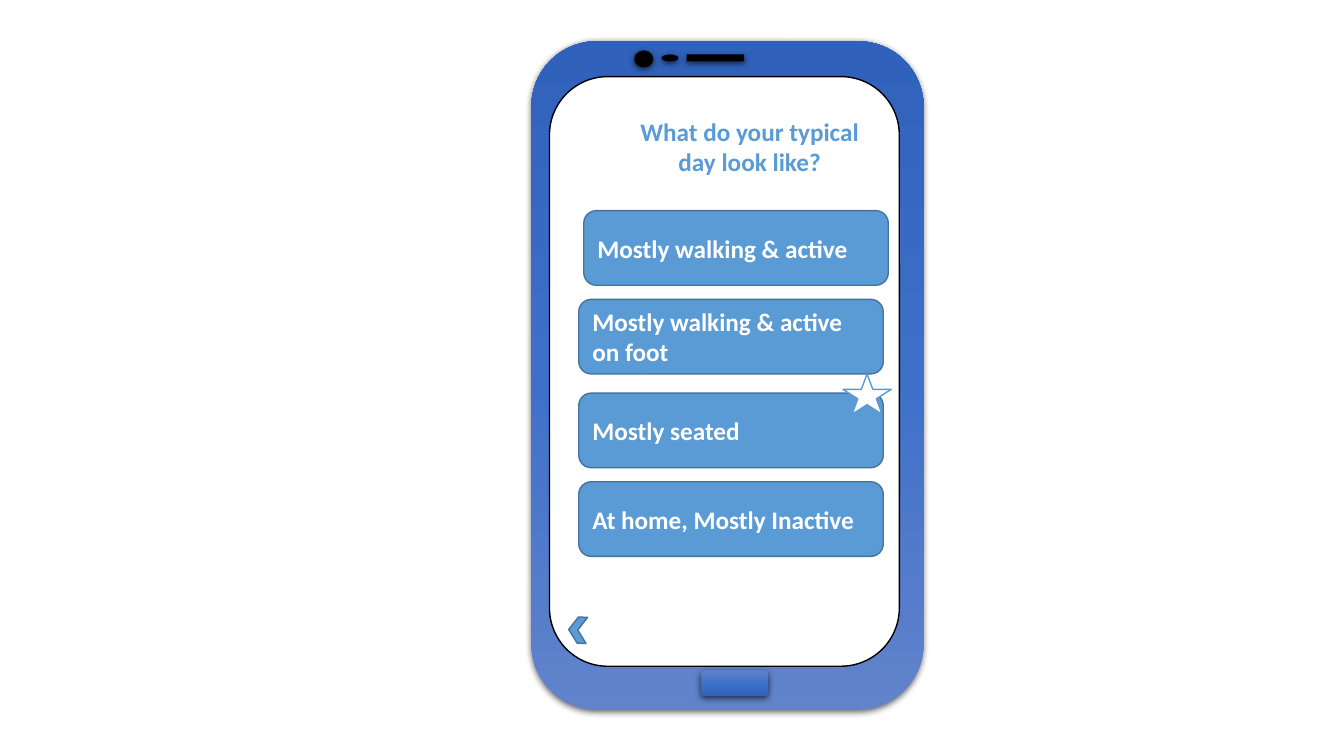
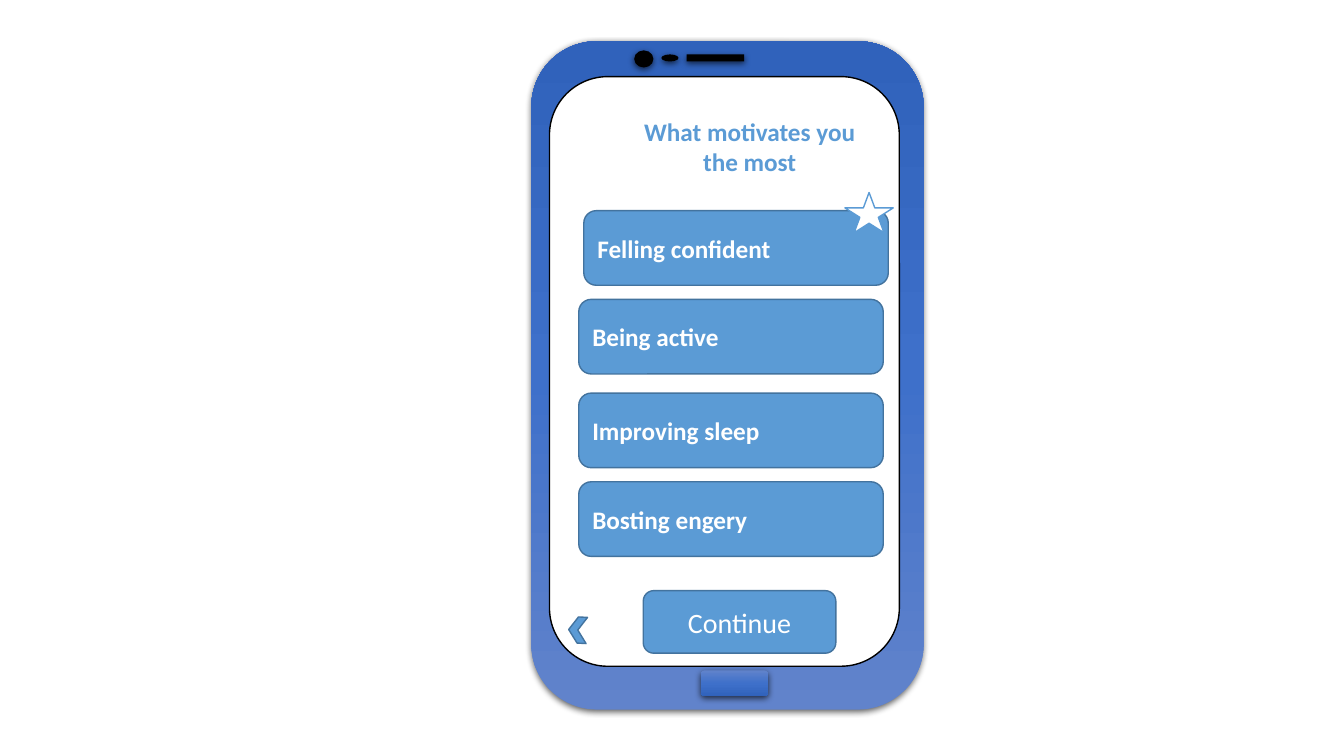
"""Build two phone-screen quiz slides with a shared handset and answer buttons."""
from copy import deepcopy
from dataclasses import dataclass

from lxml.etree import SubElement
from pptx import Presentation
from pptx.dml.color import RGBColor
from pptx.enum.shapes import MSO_SHAPE
from pptx.enum.text import MSO_ANCHOR, PP_ALIGN
from pptx.oxml.ns import qn
from pptx.util import Inches, Pt


@dataclass(frozen=True)
class Theme:
    font: str = "Calibri"
    body_size: int = 18
    action_size: int = 20
    white: str = "FFFFFF"
    black: str = "000000"
    accent: str = "5B9BD5"
    accent_edge: str = "43739E"
    case_gradient: tuple = ("6183CB", "3E70CA", "3062BB")


ANSWER_TOPS = (2.09, 2.97, 3.9, 4.78)
ANSWER_LEFTS = (5.79, 5.74, 5.74, 5.74)


class PhoneDeck:
    def __init__(self, theme):
        self.theme = theme
        self.deck = Presentation()
        self.deck.slide_width = Inches(13.33)
        self.deck.slide_height = Inches(7.5)
        self.page = None

    def shape(self, kind, place, fill=None, line=None):
        box = self.page.shapes.add_shape(kind, *map(Inches, place))
        box.shadow.inherit = False
        if fill:
            box.fill.solid()
            box.fill.fore_color.rgb = RGBColor.from_string(fill)
        if line:
            box.line.color.rgb = RGBColor.from_string(line)
            box.line.width = Pt(1)
        else:
            box.line.fill.background()
        return box

    def shadow(self, box):
        effects = box._element.spPr.find(qn("a:effectLst"))
        outer = SubElement(effects, qn("a:outerShdw"), blurRad=str(Pt(4.5)), dist=str(Pt(1.5)),
                           dir="5400000", algn="ctr", rotWithShape="0")
        color = SubElement(outer, qn("a:srgbClr"), val=self.theme.black)
        SubElement(color, qn("a:alpha"), val="63000")

    def gradient(self, box, angle):
        box.fill.gradient()
        box.fill.gradient_angle = angle
        stops = box._element.spPr.find(qn("a:gradFill")).find(qn("a:gsLst"))
        stops.insert(1, deepcopy(stops[0]))
        for index, (stop, color) in enumerate(zip(box.fill.gradient_stops, self.theme.case_gradient)):
            stop.color.rgb = RGBColor.from_string(color)
            stop.position = index / 2

    def text(self, box, words, color, size, align=PP_ALIGN.LEFT, bold=True):
        frame = box.text_frame
        frame.word_wrap = True
        frame.vertical_anchor = MSO_ANCHOR.MIDDLE
        para = frame.paragraphs[0]
        para.alignment = align
        span = para.add_run()
        span.text = words
        span.font.name = self.theme.font
        span.font.size = Pt(size)
        span.font.bold = bold
        span.font.color.rgb = RGBColor.from_string(color)

    def case_part(self, place, angle):
        part = self.shape(MSO_SHAPE.ROUNDED_RECTANGLE, place)
        self.gradient(part, angle)
        self.shadow(part)

    def screen(self, question):
        box = self.shape(MSO_SHAPE.ROUNDED_RECTANGLE, (5.45, 0.76, 3.47, 5.85),
                         self.theme.white, self.theme.black)
        self.text(box, question, self.theme.accent, self.theme.body_size, PP_ALIGN.CENTER)
        frame = box.text_frame
        frame.vertical_anchor = MSO_ANCHOR.TOP
        frame.margin_left = Inches(0.6)
        frame.margin_top = Inches(0.22)

    def phone(self, question):
        self.page = self.deck.slides.add_slide(self.deck.slide_layouts[6])
        self.case_part((5.27, 0.41, 3.89, 6.63), 90)
        self.screen(question)
        self.case_part((6.95, 6.65, 0.67, 0.26), 270)
        for kind, place in ((MSO_SHAPE.RECTANGLE, (6.81, 0.54, 0.57, 0.07)),
                            (MSO_SHAPE.OVAL, (6.56, 0.54, 0.17, 0.07)),
                            (MSO_SHAPE.OVAL, (6.29, 0.5, 0.19, 0.17))):
            self.shadow(self.shape(kind, place, self.theme.black))
        arrow = self.shape(MSO_SHAPE.CHEVRON, (5.64, 6.12, 0.18, 0.26),
                           self.theme.accent, self.theme.accent_edge)
        arrow.rotation = 183.2

    def button(self, place, words, **style):
        box = self.shape(MSO_SHAPE.ROUNDED_RECTANGLE, place,
                         self.theme.accent, self.theme.accent_edge)
        self.text(box, words, self.theme.white, **style)

    def answers(self, choices):
        for left, top, words in zip(ANSWER_LEFTS, ANSWER_TOPS, choices):
            self.button((left, top, 3.02, 0.74), words, size=self.theme.body_size)

    def star(self, left, top):
        self.shape(MSO_SHAPE.STAR_5_POINT, (left, top, 0.48, 0.4),
                   self.theme.white, self.theme.accent)

    def continue_button(self):
        self.button((6.38, 5.86, 1.91, 0.62), "Continue", size=self.theme.action_size,
                    align=PP_ALIGN.CENTER, bold=False)


def main():
    quiz = PhoneDeck(Theme())

    quiz.phone("What do your typical day look like?")
    quiz.answers(("Mostly walking & active", "Mostly walking & active on foot",
                  "Mostly seated", "At home, Mostly Inactive"))
    quiz.star(8.36, 3.71)

    quiz.phone("What motivates you the most")
    quiz.answers(("Felling confident", "Being active", "Improving sleep", "Bosting engery"))
    quiz.star(8.38, 1.91)
    quiz.continue_button()

    quiz.deck.save("out.pptx")


if __name__ == "__main__":
    main()
